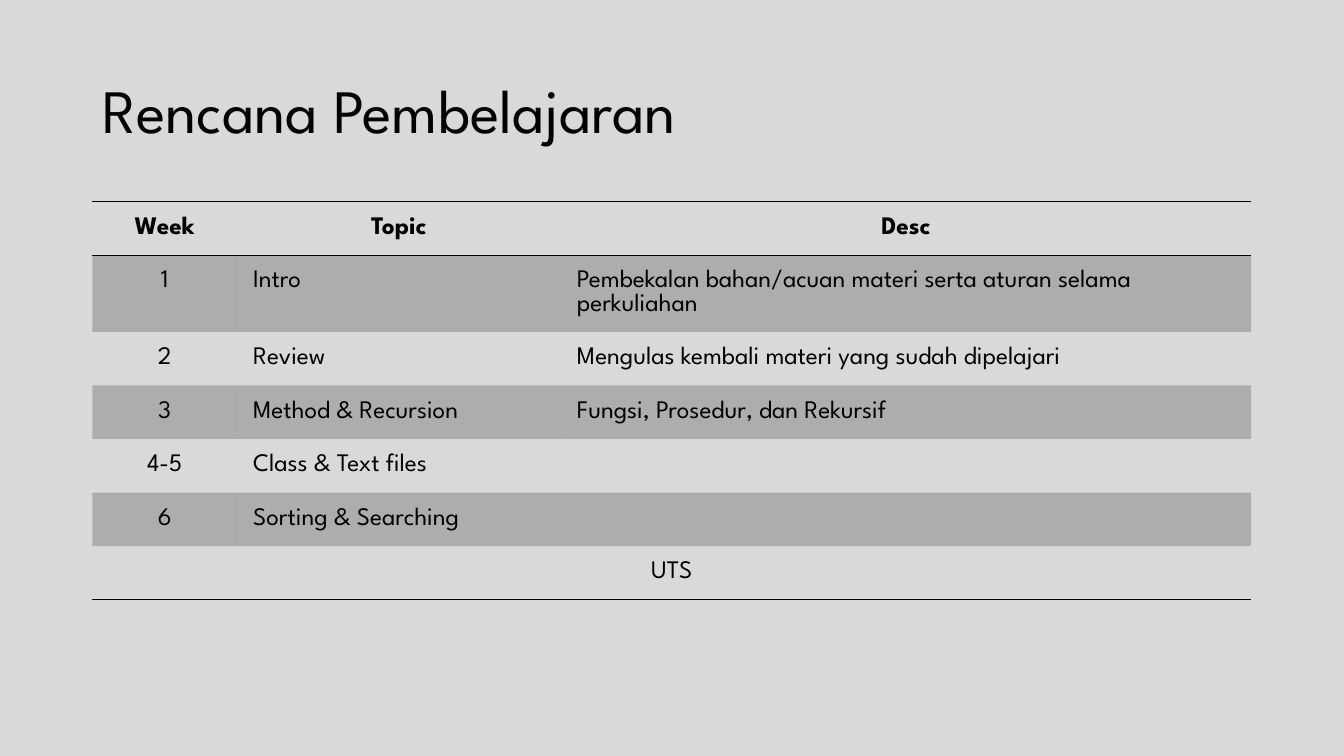
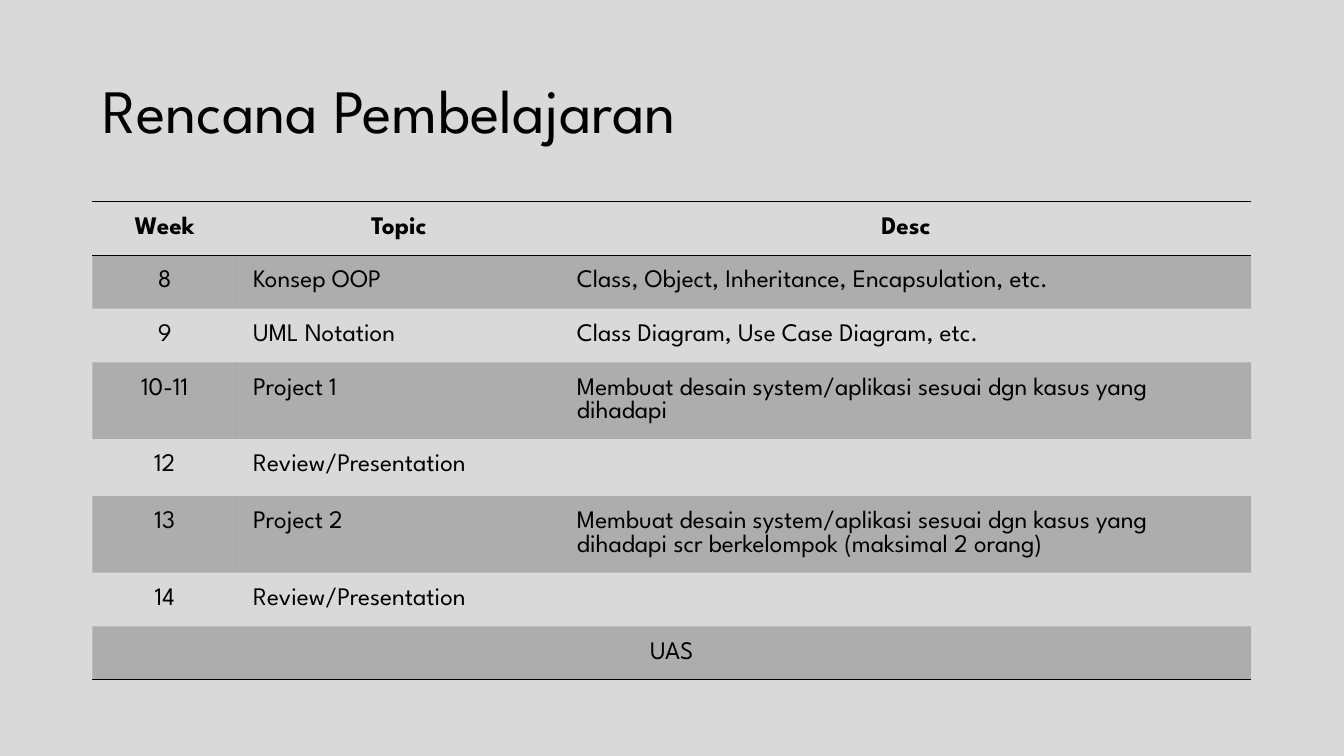
from dataclasses import dataclass

from lxml import etree
from pptx import Presentation
from pptx.dml.color import RGBColor
from pptx.enum.text import MSO_ANCHOR, PP_ALIGN
from pptx.oxml import parse_xml
from pptx.oxml.ns import nsdecls, qn
from pptx.util import Cm, Pt

CENTER, LEFT = PP_ALIGN.CENTER, PP_ALIGN.LEFT
MIDDLE = MSO_ANCHOR.MIDDLE

COLORS = {"page": "D9D9D9", "ink": "000000"}
FONT = "League Spartan"
TITLE = "Rencana Pembelajaran"
HEADINGS = ("Week", "Topic", "Desc")
TITLE_ONLY = 5
PLAIN_TABLE = "{2D5ABB26-0587-4C30-8999-92F81FD0307C}"

# Shared measures in centimetres
PAGE_LEFT = 2.33
TABLE_TOP = 5.08
COLUMN_WIDTHS = (3.64, 8.16, 17.4)
ONE_LINE, TWO_LINES, TALL_LINE = 1.35, 1.93, 1.44
MARGIN_X, MARGIN_Y = 0.41, 0.38
BAND_OPACITY = 20


@dataclass(frozen=True)
class Lesson:
    week: str
    topic: str
    description: str = ""
    height: float = ONE_LINE


@dataclass(frozen=True)
class Schedule:
    lessons: tuple[Lesson, ...]
    exam: str


SCHEDULES = (
    Schedule((
        Lesson("1", "Intro",
               "Pembekalan bahan/acuan materi serta aturan selama perkuliahan", TWO_LINES),
        Lesson("2", "Review", "Mengulas kembali materi yang sudah dipelajari"),
        Lesson("3", "Method & Recursion", "Fungsi, Prosedur, dan Rekursif"),
        Lesson("4-5", "Class & Text files"),
        Lesson("6", "Sorting & Searching"),
    ), "UTS"),
    Schedule((
        Lesson("8", "Konsep OOP", "Class, Object, Inheritance, Encapsulation, etc."),
        Lesson("9", "UML Notation", "Class Diagram, Use Case Diagram, etc."),
        Lesson("10-11", "Project 1",
               "Membuat desain system/aplikasi sesuai dgn kasus yang dihadapi", TWO_LINES),
        Lesson("12", "Review/Presentation", height=TALL_LINE),
        Lesson("13", "Project 2",
               "Membuat desain system/aplikasi sesuai dgn kasus yang dihadapi "
               "scr berkelompok (maksimal 2 orang)", TWO_LINES),
        Lesson("14", "Review/Presentation"),
    ), "UAS"),
)


def add_span(para, text: str, size: float, bold: bool = False) -> None:
    span = para.add_run()
    span.text = text
    span.font.name = FONT
    span.font.size = Pt(size)
    span.font.bold = bold
    span.font.color.rgb = RGBColor.from_string(COLORS["ink"])


def style_master(deck) -> None:
    """Set the background and title position that all pages inherit."""
    master = deck.slide_master
    master.background.fill.solid()
    master.background.fill.fore_color.rgb = RGBColor.from_string(COLORS["page"])
    for box in master.placeholders:
        if box.placeholder_format.idx == 0:
            box.left, box.top = Cm(PAGE_LEFT), Cm(1.02)
            box.width, box.height = Cm(29.21), Cm(3.68)
            box.text_frame.vertical_anchor = MIDDLE


def add_title(page) -> None:
    para = page.shapes.title.text_frame.paragraphs[0]
    para.alignment = LEFT
    para.line_spacing = 0.9
    add_span(para, TITLE, 44)


def add_border(cell, side: str) -> None:
    """Draw a 1 pt rule; side is lnT or lnB."""
    cell._tc.get_or_add_tcPr().append(parse_xml(
        f'<a:{side} {nsdecls("a")} w="{Pt(1)}"><a:solidFill>'
        f'<a:srgbClr val="{COLORS["ink"]}"/></a:solidFill></a:{side}>'))


def fill_cell(cell, banded: bool) -> None:
    if not banded:
        cell.fill.background()
        return
    cell.fill.solid()
    cell.fill.fore_color.rgb = RGBColor.from_string(COLORS["ink"])
    color = cell._tc.tcPr.find(qn("a:solidFill")).find(qn("a:srgbClr"))
    etree.SubElement(color, qn("a:alpha")).set("val", str(BAND_OPACITY * 1000))


def write_cell(cell, text: str, alignment: PP_ALIGN, bold: bool = False) -> None:
    if not text:
        return
    cell.margin_left = cell.margin_right = Cm(MARGIN_X)
    cell.margin_top = cell.margin_bottom = Cm(MARGIN_Y)
    para = cell.text_frame.paragraphs[0]
    para.alignment = alignment
    add_span(para, text, 18, bold)


def add_schedule(page, schedule: Schedule) -> None:
    lessons = schedule.lessons
    texts = [HEADINGS, *((item.week, item.topic, item.description) for item in lessons),
             (schedule.exam, "", "")]
    heights = [ONE_LINE, *(item.height for item in lessons), ONE_LINE]
    last = len(texts) - 1

    # Plain grid
    frame = page.shapes.add_table(
        len(texts), len(HEADINGS), Cm(PAGE_LEFT), Cm(TABLE_TOP),
        Cm(sum(COLUMN_WIDTHS)), Cm(sum(heights)))
    table = frame.table
    table.horz_banding = False
    table._tbl.tblPr.find(qn("a:tableStyleId")).text = PLAIN_TABLE
    for column, width in zip(table.columns, COLUMN_WIDTHS):
        column.width = Cm(width)
    table.cell(last, 0).merge(table.cell(last, len(HEADINGS) - 1))

    # Rules, bands and text
    for row, (values, height) in enumerate(zip(texts, heights)):
        table.rows[row].height = Cm(height)
        header = row == 0
        for column, text in enumerate(values):
            cell = table.cell(row, column)
            if header:
                add_border(cell, "lnT")
            if header or row == last:
                add_border(cell, "lnB")
            fill_cell(cell, banded=row % 2 == 1)
            write_cell(cell, text, CENTER if header or column == 0 else LEFT, header)


def main() -> None:
    deck = Presentation()
    deck.slide_width, deck.slide_height = Cm(33.87), Cm(19.05)
    style_master(deck)
    for schedule in SCHEDULES:
        page = deck.slides.add_slide(deck.slide_layouts[TITLE_ONLY])
        add_title(page)
        add_schedule(page, schedule)
    deck.save("out.pptx")


if __name__ == "__main__":
    main()
